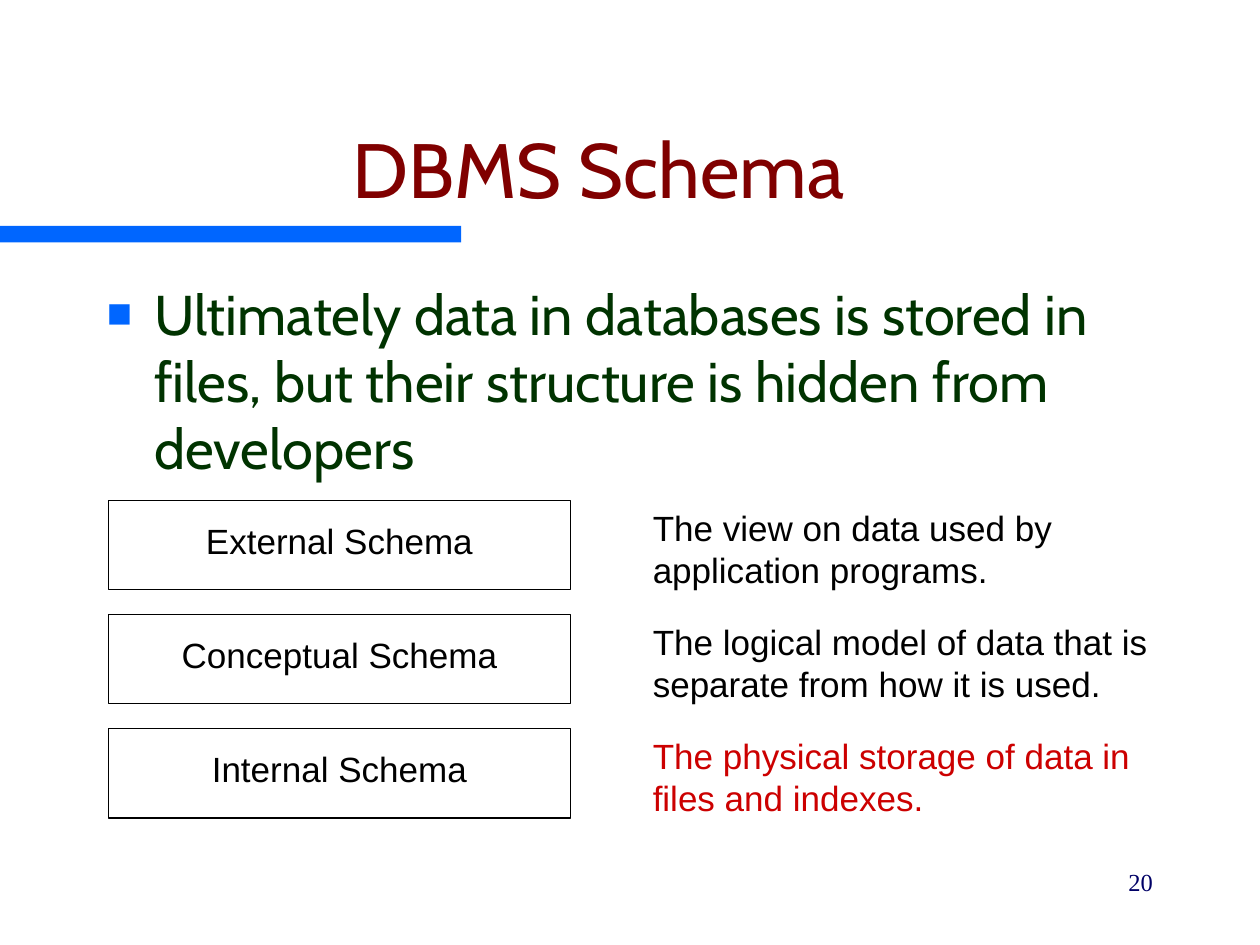
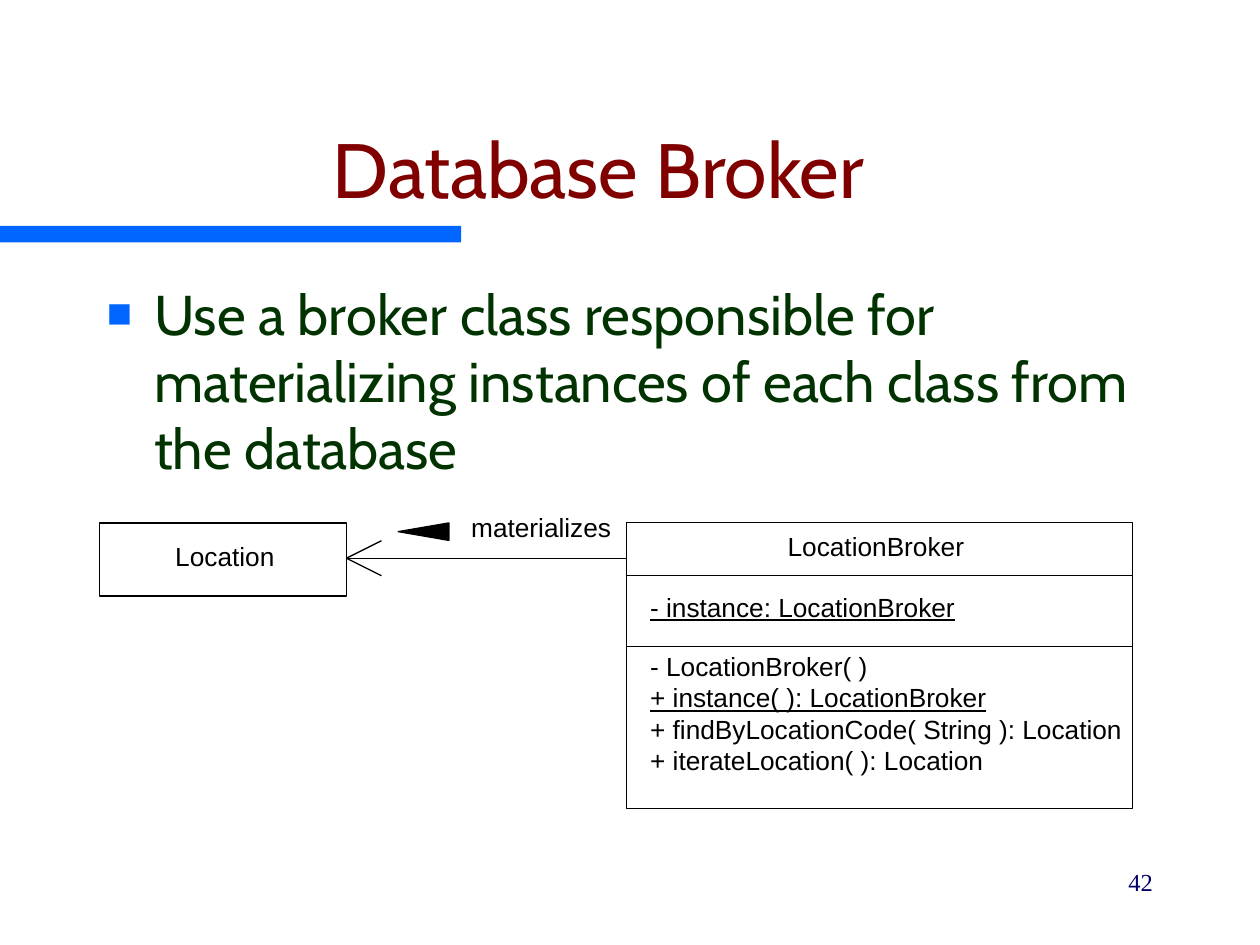
from lxml import etree
from pptx import Presentation
from pptx.dml.color import RGBColor
from pptx.enum.shapes import MSO_CONNECTOR, MSO_SHAPE
from pptx.enum.text import MSO_ANCHOR, MSO_AUTO_SIZE, PP_ALIGN
from pptx.oxml.ns import qn
from pptx.util import Pt

BLUE = RGBColor(0x00, 0x66, 0xFF)
MAROON = RGBColor(0x80, 0x00, 0x00)
GREEN = RGBColor(0x00, 0x33, 0x00)
NAVY = RGBColor(0x00, 0x00, 0x66)
RED = RGBColor(0xCC, 0x00, 0x00)
BLACK = RGBColor(0x00, 0x00, 0x00)
WHITE = RGBColor(0xFF, 0xFF, 0xFF)

TITLE = dict(name="Cabin", size=Pt(44), color=MAROON)
BODY = dict(name="Cabin", size=Pt(32), color=GREEN)
NUMBER = dict(name="Times New Roman", size=Pt(14), color=NAVY)
LABEL = dict(name="Arial", size=Pt(20), color=BLACK)
UML = dict(name="Arial", size=Pt(15), color=BLACK)
STATIC = dict(UML, underline=True)
LINE_WIDTH = 0.75

SCHEMA = dict(
    title="DBMS Schema",
    body="Ultimately data in databases is stored in files, "
         "but their structure is hidden from developers",
    number="20",
)
LEVELS = [
    ("External Schema", "The view on data used by application programs.", BLACK),
    ("Conceptual Schema",
     "The logical model of data that is separate from how it is used.", BLACK),
    ("Internal Schema", "The physical storage of data in files and indexes.", RED),
]

BROKER = dict(
    title="Database Broker",
    body="Use a broker class responsible for materializing instances "
         "of each class from the database",
    number="42",
)
ATTRIBUTES = [("- instance: LocationBroker", STATIC)]
OPERATIONS = [
    ("- LocationBroker( )", UML),
    ("+ instance( ): LocationBroker", STATIC),
    ("+ findByLocationCode( String ): Location", UML),
    ("+ iterateLocation( ): Location", UML),
]


def set_font(font, fmt):
    for key, value in fmt.items():
        if key == "color":
            font.color.rgb = value
        else:
            setattr(font, key, value)


def write(tf, lines, align=PP_ALIGN.LEFT, anchor=MSO_ANCHOR.TOP, insets=(0, 0, 0, 0)):
    """Fill a text frame with (text, format) lines; insets are left, top, right, bottom."""
    tf.word_wrap = True
    tf.auto_size = MSO_AUTO_SIZE.NONE
    tf.vertical_anchor = anchor
    for side, inset in zip(("left", "top", "right", "bottom"), insets):
        setattr(tf, f"margin_{side}", Pt(inset))
    for i, (text, fmt) in enumerate(lines):
        p = tf.add_paragraph() if i else tf.paragraphs[0]
        p.alignment = align
        r = p.add_run()
        r.text = text
        set_font(r.font, fmt)


def add_text(slide, box, lines, **layout):
    sp = slide.shapes.add_textbox(*map(Pt, box))
    write(sp.text_frame, lines, **layout)
    return sp.text_frame


def paint(sp, fill, line=None):
    sp.shadow.inherit = False
    sp.fill.solid()
    sp.fill.fore_color.rgb = fill
    if line is None:
        sp.line.fill.background()
    else:
        sp.line.color.rgb = line
        sp.line.width = Pt(LINE_WIDTH)


def add_box(slide, box, text, fmt, **layout):
    sp = slide.shapes.add_shape(MSO_SHAPE.RECTANGLE, *map(Pt, box))
    paint(sp, WHITE, BLACK)
    write(sp.text_frame, [(text, fmt)], align=PP_ALIGN.CENTER, **layout)


def add_line(slide, start, end):
    cx = slide.shapes.add_connector(MSO_CONNECTOR.STRAIGHT, *map(Pt, start + end))
    cx.line.color.rgb = BLACK
    cx.line.width = Pt(LINE_WIDTH)
    etree.SubElement(cx._element.spPr, qn("a:effectLst"))


def add_bullet(p):
    p.space_before = Pt(8)
    pPr = p._p.get_or_add_pPr()
    pPr.set("marL", str(Pt(27)))
    pPr.set("indent", str(-Pt(27)))
    color = etree.SubElement(pPr, qn("a:buClr"))
    etree.SubElement(color, qn("a:srgbClr"), val=str(BLUE))
    etree.SubElement(pPr, qn("a:buSzPct"), val="75000")
    etree.SubElement(pPr, qn("a:buFont"), typeface="Arial")
    etree.SubElement(pPr, qn("a:buChar"), char="■")


def add_slide(prs, title, body, number):
    slide = prs.slides.add_slide(prs.slide_layouts[5])
    insets = (7.2, 3.6, 7.2, 3.6)

    band = slide.shapes.add_shape(MSO_SHAPE.RECTANGLE, Pt(0), Pt(129), Pt(263.5), Pt(9.5))
    paint(band, BLUE)

    sp = slide.shapes.title
    sp.left, sp.top, sp.width, sp.height = map(Pt, (18, 36, 648, 90))
    write(sp.text_frame, [(title, TITLE)], align=PP_ALIGN.CENTER,
          anchor=MSO_ANCHOR.BOTTOM, insets=insets)

    tf = add_text(slide, (54, 156, 612, 324), [(body, BODY)], insets=insets)
    add_bullet(tf.paragraphs[0])

    tf = add_text(slide, (516, 492, 150, 36), [(number, NUMBER)],
                  align=PP_ALIGN.RIGHT, insets=insets)
    tf.paragraphs[0].space_before = Pt(8.8)
    return slide


def draw_levels(slide):
    top, pitch = 286, 65.2
    for i, (name, meaning, color) in enumerate(LEVELS):
        y = top + i * pitch
        add_box(slide, (62, y, 264, 51), name, LABEL,
                anchor=MSO_ANCHOR.MIDDLE, insets=(0, 0, 0, 5))
        add_text(slide, (373, y + 3.5, 300, 47), [(meaning, dict(LABEL, color=color))])


def draw_classes(slide):
    top = 298.8
    location_left, location_width = 57, 141
    broker_left, broker_width = 358, 289
    attributes_y, operations_y = 329, 369.4

    add_box(slide, (location_left, top, location_width, 41.8), "Location", UML,
            anchor=MSO_ANCHOR.MIDDLE, insets=(2, 0, 0, 4))
    add_box(slide, (broker_left, top, broker_width, 163.4), "LocationBroker", UML,
            insets=(0, 4.5, 4, 0))
    for y, gap, members in ((attributes_y, 8.7, ATTRIBUTES),
                            (operations_y, 2.1, OPERATIONS)):
        add_line(slide, (broker_left, y), (broker_left + broker_width, y))
        add_text(slide, (broker_left + 13.5, y + gap, 275, 17.25 * len(members)), members)

    tip_x, tip_y, head = location_left + location_width, 319, 20
    for end in ((broker_left, tip_y),
                (tip_x + head, tip_y - head / 2),
                (tip_x + head, tip_y + head / 2)):
        add_line(slide, (tip_x, tip_y), end)

    add_text(slide, (269.3, 292.3, 88, 18), [("materializes", UML)])
    x, y, length, half = 227.5, 303.8, 29, 5
    outline = slide.shapes.build_freeform(Pt(x), Pt(y))
    outline.add_line_segments([(Pt(x + length), Pt(y + half)),
                               (Pt(x + length), Pt(y - half))], close=True)
    paint(outline.convert_to_shape(), BLACK, BLACK)


def main():
    prs = Presentation()
    prs.slide_width, prs.slide_height = Pt(720), Pt(540)
    draw_levels(add_slide(prs, **SCHEMA))
    draw_classes(add_slide(prs, **BROKER))
    prs.save("out.pptx")


if __name__ == "__main__":
    main()
